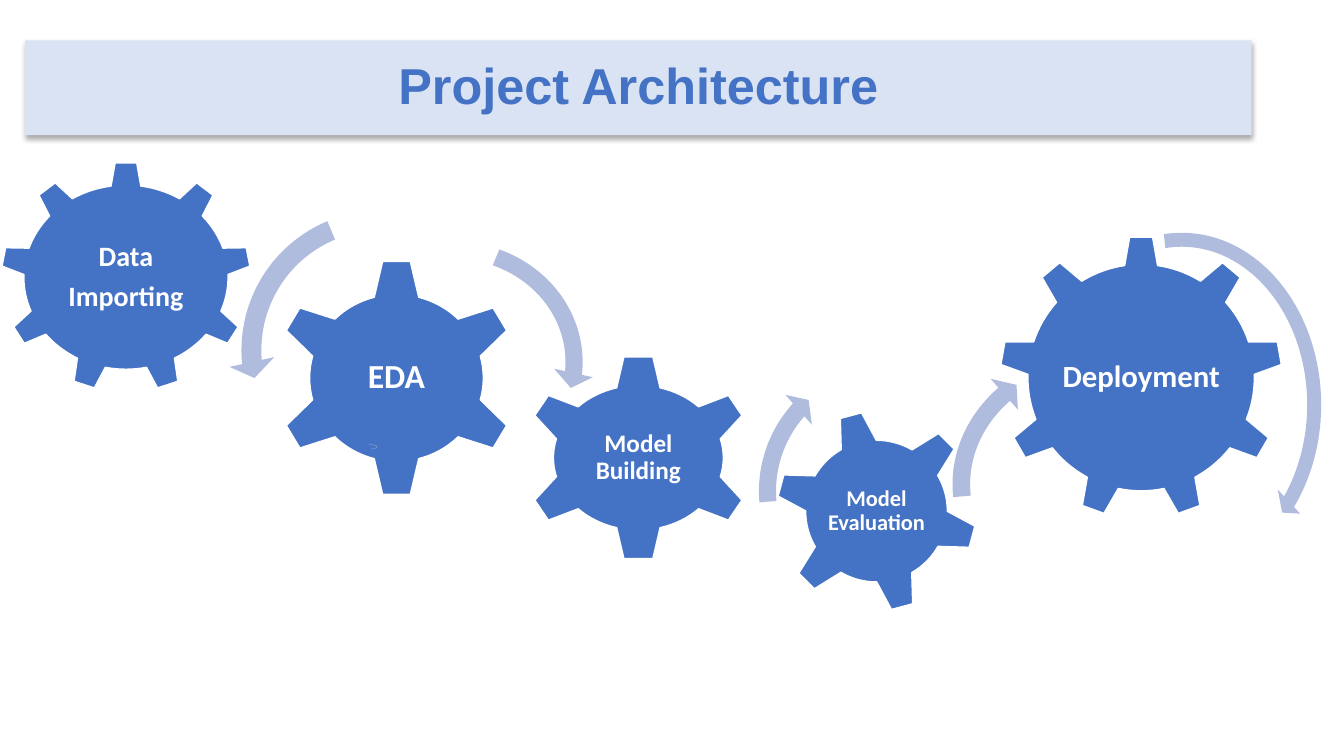
from dataclasses import dataclass

from lxml import etree
from pptx import Presentation
from pptx.dml.color import RGBColor
from pptx.enum.shapes import MSO_SHAPE as Preset
from pptx.enum.text import MSO_ANCHOR as Anchor, PP_ALIGN as Align
from pptx.oxml.ns import qn
from pptx.util import Inches, Pt


@dataclass(frozen=True)
class Theme:
    gear: str = "4472C4"
    arrow: str = "B0BCDE"
    banner: str = "DAE3F3"
    light: str = "FFFFFF"
    shadow: str = "000000"
    title_font: str = "Arial"
    label_font: str = "Calibri"
    title_size: int = 36
    huge: int = 24
    large: int = 22
    medium: int = 20
    small: int = 18
    tiny: int = 16
    line_spacing: float = 0.9
    gap_share: float = 0.35
    inset: float = 0.03


class GearSlide:
    """Places elements on a grid of 16 columns by 9 rows."""

    def __init__(self, deck, theme):
        self.theme = theme
        self.slide = deck.slides.add_slide(deck.slide_layouts[5])
        self.column = deck.slide_width / 16
        self.row = deck.slide_height / 9

    def place(self, left, top, width, height):
        return (round(left * self.column), round(top * self.row),
                round(width * self.column), round(height * self.row))

    def paint(self, shape, color):
        shape.fill.solid()
        shape.fill.fore_color.rgb = RGBColor.from_string(color)

    def set_text(self, frame, lines, font, size, color):
        frame.word_wrap = True
        frame.vertical_anchor = Anchor.MIDDLE
        frame.text = "\n".join(lines)
        for para in frame.paragraphs:
            para.alignment = Align.CENTER
            para.line_spacing = self.theme.line_spacing
            para.font.name = font
            para.font.size = Pt(size)
            para.font.bold = True
            para.font.color.rgb = RGBColor.from_string(color)

    def title(self, text, spot):
        theme, banner = self.theme, self.slide.shapes.title
        banner.left, banner.top, banner.width, banner.height = self.place(*spot)
        self.paint(banner, theme.banner)
        self.set_text(banner.text_frame, [text], theme.title_font,
                      theme.title_size, theme.gear)
        effects = etree.SubElement(banner.element.spPr, qn("a:effectLst"))
        shadow = etree.SubElement(
            effects, qn("a:outerShdw"), blurRad=str(Pt(3.5)),
            dist=str(Pt(2.2)), dir="5400000", rotWithShape="0")
        color = etree.SubElement(shadow, qn("a:srgbClr"), val=theme.shadow)
        etree.SubElement(color, qn("a:alpha"), val="32000")

    def gear(self, preset, spot, lines, size, label_share, rotation=0):
        theme = self.theme
        wheel = self.slide.shapes.add_shape(preset, *self.place(*spot))
        wheel.shadow.inherit = False
        wheel.rotation = rotation
        self.paint(wheel, theme.gear)
        wheel.line.color.rgb = RGBColor.from_string(theme.light)
        wheel.line.width = Pt(1)
        self.label(spot, lines, size, label_share)

    def label(self, spot, lines, size, share):
        """Centre a label that covers a share of the gear's box."""
        theme = self.theme
        left, top, width, height = spot
        across, down = width * share[0], height * share[1]
        box = self.slide.shapes.add_textbox(*self.place(
            left + (width - across) / 2, top + (height - down) / 2, across, down))
        frame = box.text_frame
        frame.margin_left = frame.margin_right = Inches(theme.inset)
        frame.margin_top = frame.margin_bottom = Inches(theme.inset)
        self.set_text(frame, lines, theme.label_font, size, theme.light)
        for para in frame.paragraphs:
            para.space_after = Pt(size * theme.gap_share)

    def arrow(self, preset, spot, bend, mirrored=False):
        arc = self.slide.shapes.add_shape(preset, *self.place(*spot))
        arc.shadow.inherit = False
        self.paint(arc, self.theme.arrow)
        arc.line.fill.background()
        for index, value in enumerate(bend):
            arc.adjustments[index] = value
        if mirrored:
            arc.element.spPr.find(qn("a:xfrm")).set("flipH", "1")


def main():
    deck = Presentation()
    deck.slide_width, deck.slide_height = Inches(13.33), Inches(7.5)
    theme = Theme()
    page = GearSlide(deck, theme)

    # Title banner
    page.title("Project Architecture", (0.3, 0.48, 14.6, 1.13))

    # Project stages: preset, place, label, size, label share, rotation
    stages = [
        (Preset.GEAR_9, (0.01, 1.93, 2.98, 2.74), ["Data", "Importing"],
         theme.medium, (0.61, 0.51)),
        (Preset.GEAR_6, (3.26, 3.08, 2.92, 2.84), ["EDA"],
         theme.huge, (0.5, 0.49)),
        (Preset.GEAR_6, (6.22, 4.22, 2.76, 2.46), ["Model Building"],
         theme.small, (0.52, 0.49)),
        (Preset.GEAR_6, (9.23, 4.88, 2.41, 2.41), ["Model Evaluation"],
         theme.tiny, (0.56, 0.56), 345),
        (Preset.GEAR_9, (11.9, 2.81, 3.37, 3.37), ["Deployment"],
         theme.large, (0.6, 0.52)),
    ]
    for stage in stages:
        page.gear(*stage)

    # Arrows between the stages
    falling = (0.065, 4.3, 104.89, 148.38, 0.075)
    rising = (0.06, 3.94, 133.14, 105.08, 0.07)
    looping = (0.047, 2.99, 25.27, 158.39, 0.055)
    ripple = (0.049, 3.13, 32.24, 151.14, 0.057)
    arrows = [
        (Preset.LEFT_CIRCULAR_ARROW, (2.72, 2.35, 3.64, 3.64), falling),
        (Preset.LEFT_CIRCULAR_ARROW, (3.7, 2.74, 3.37, 3.14), falling, True),
        (Preset.CIRCULAR_ARROW, (4.31, 5.29, 0.18, 0.06), ripple),
        (Preset.CIRCULAR_ARROW, (8.9, 4.16, 3.38, 3.38), rising),
        (Preset.CIRCULAR_ARROW, (11.2, 4.02, 3.9, 3.49), rising),
        (Preset.CIRCULAR_ARROW, (12.3, 2.66, 3.54, 4.32), looping),
    ]
    for arrow in arrows:
        page.arrow(*arrow)

    deck.save("out.pptx")


if __name__ == "__main__":
    main()
